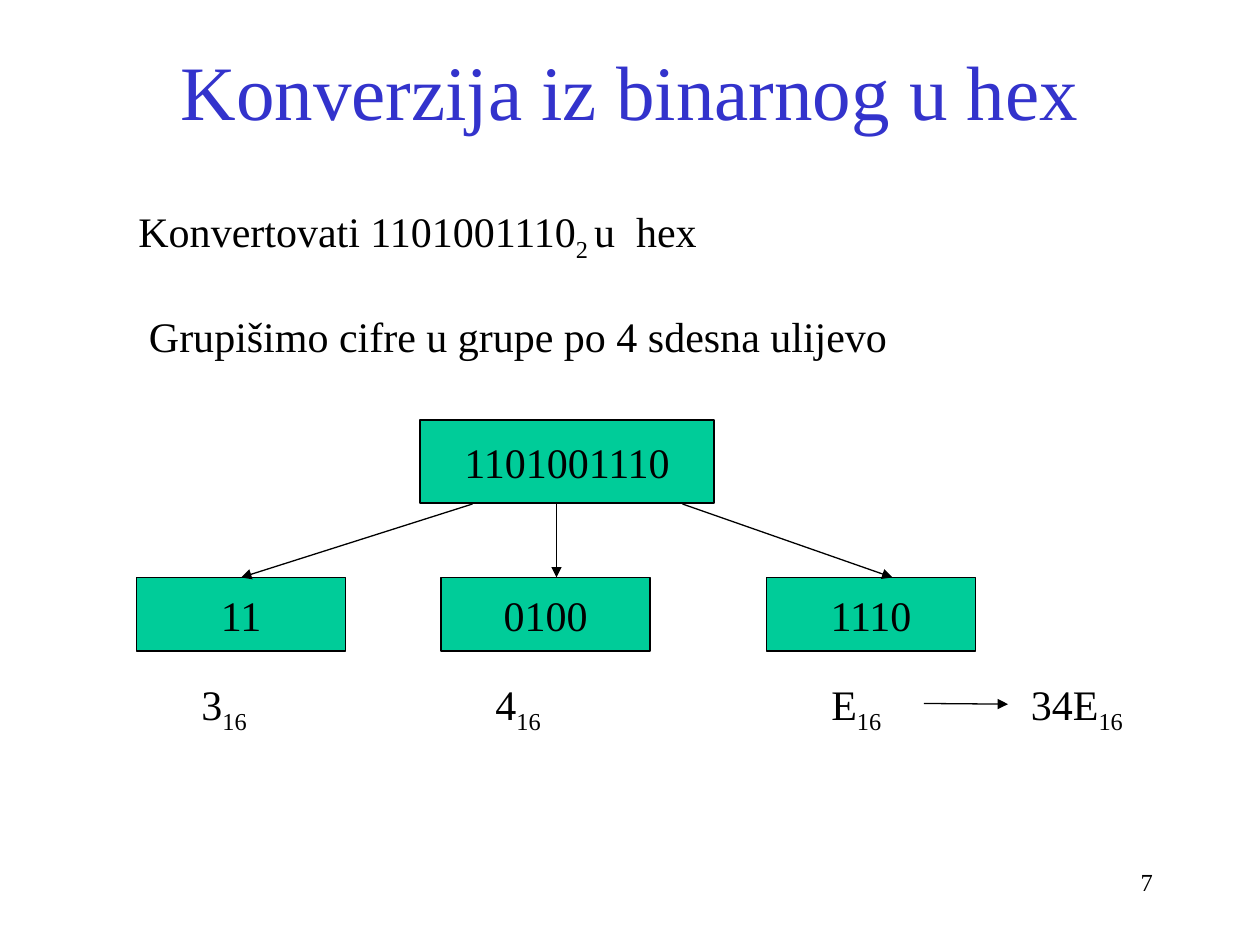
from dataclasses import dataclass
from typing import Optional

from lxml.etree import SubElement
from pptx import Presentation
from pptx.dml.color import RGBColor
from pptx.enum.shapes import MSO_CONNECTOR as Connector, MSO_SHAPE as Shape
from pptx.enum.text import MSO_ANCHOR as Anchor, MSO_AUTO_SIZE as AutoSize, PP_ALIGN as Align
from pptx.oxml.ns import qn
from pptx.util import Pt


@dataclass(frozen=True)
class Theme:
    font: str = "Times New Roman"
    title_color: RGBColor = RGBColor(0x33, 0x33, 0xCC)
    ink: RGBColor = RGBColor(0, 0, 0)
    box_fill: RGBColor = RGBColor(0, 0xCC, 0x99)
    title_size: float = 44
    body_size: float = 24
    number_size: float = 14
    line_width: float = 0.75


THEME = Theme()


@dataclass(frozen=True)
class Box:
    """A rectangle on the slide, in points."""
    left: float
    top: float
    width: float
    height: float

    def lengths(self) -> tuple:
        return Pt(self.left), Pt(self.top), Pt(self.width), Pt(self.height)


@dataclass(frozen=True)
class Group:
    """One group of binary digits, its arrow and its hex digit."""
    bits: str
    left: float
    arrow_from: float
    arrow_to: float
    digit: str
    digit_left: float
    digit_width: float
    joined: bool = False


GROUPS = [
    Group("11", 78, 270, 137.75, "3", 108, 54, joined=True),
    Group("0100", 252, 318, 318, "4", 276, 78),
    Group("1110", 438, 390, 510, "E", 468, 66),
]
NUMBER_BOX = Box(240, 240, 168, 47.5)
GROUP_TOP, GROUP_WIDTH, GROUP_HEIGHT = 330, 119.5, 42
ARROW_TOP = 288
DIGIT_TOP, DIGIT_HEIGHT = 384, 40


def write_text(shape, text: str, *, subscript: str = "", rest: str = "",
               size: float = THEME.body_size, color: RGBColor = THEME.ink,
               align=Align.LEFT, anchor=Anchor.TOP, wrap: bool = True) -> None:
    frame = shape.text_frame
    frame.auto_size = AutoSize.NONE
    frame.word_wrap = wrap
    frame.vertical_anchor = anchor
    paragraph = frame.paragraphs[0]
    paragraph.alignment = align
    for part, baseline in ((text, 0), (subscript, -25000), (rest, 0)):
        if not part:
            continue
        run = paragraph.add_run()
        run.text = part
        run.font.name = THEME.font
        run.font.size = Pt(size)
        run.font.color.rgb = color
        if baseline:
            run._r.get_or_add_rPr().set("baseline", str(baseline))


def add_text(slide, box: Box, text: str, **text_format) -> None:
    write_text(slide.shapes.add_textbox(*box.lengths()), text, **text_format)


def add_number_box(slide, box: Box, text: str):
    shape = slide.shapes.add_shape(Shape.RECTANGLE, *box.lengths())
    shape.shadow.inherit = False
    shape.fill.solid()
    shape.fill.fore_color.rgb = THEME.box_fill
    shape.line.color.rgb = THEME.ink
    shape.line.width = Pt(THEME.line_width)
    write_text(shape, text, align=Align.CENTER, anchor=Anchor.MIDDLE, wrap=False)
    return shape


def add_arrow(slide, start: tuple[float, float], end: tuple[float, float],
              target: Optional[object] = None) -> None:
    points = [Pt(value) for value in (*start, *end)]
    arrow = slide.shapes.add_connector(Connector.STRAIGHT, *points)
    arrow.line.color.rgb = THEME.ink
    arrow.line.width = Pt(THEME.line_width)
    SubElement(arrow.line._get_or_add_ln(), qn("a:tailEnd"), type="triangle")
    SubElement(arrow._element.spPr, qn("a:effectLst"))
    if target is not None:
        arrow.end_connect(target, 0)


def main() -> None:
    presentation = Presentation()
    presentation.slide_width, presentation.slide_height = Pt(720), Pt(540)
    slide = presentation.slides.add_slide(presentation.slide_layouts[5])

    # Title
    title = slide.shapes.title
    title.left, title.top, title.width, title.height = Box(54, 30, 612, 42).lengths()
    write_text(title, "Konverzija iz binarnog u hex", size=THEME.title_size,
               color=THEME.title_color, align=Align.CENTER, anchor=Anchor.MIDDLE)

    # Task and method
    add_text(slide, Box(72, 114, 600, 40), "Konvertovati 1101001110",
             subscript="2 ", rest="u  hex")
    add_text(slide, Box(78, 174, 588, 36), "Grupišimo cifre u grupe po 4 sdesna ulijevo")

    # Binary number split into groups, each with its hex digit
    add_number_box(slide, NUMBER_BOX, "1101001110")
    for group in GROUPS:
        box = Box(group.left, GROUP_TOP, GROUP_WIDTH, GROUP_HEIGHT)
        shape = add_number_box(slide, box, group.bits)
        add_arrow(slide, (group.arrow_from, ARROW_TOP), (group.arrow_to, GROUP_TOP),
                  shape if group.joined else None)
        add_text(slide, Box(group.digit_left, DIGIT_TOP, group.digit_width, DIGIT_HEIGHT),
                 group.digit, subscript="16")

    # Result
    add_arrow(slide, (528, 402), (576, 402.4))
    add_text(slide, Box(582, DIGIT_TOP, 90, DIGIT_HEIGHT), "34E", subscript="16")

    # Slide number
    add_text(slide, Box(516, 492, 150, 36), "7", size=THEME.number_size, align=Align.RIGHT)

    presentation.save("out.pptx")


if __name__ == "__main__":
    main()
